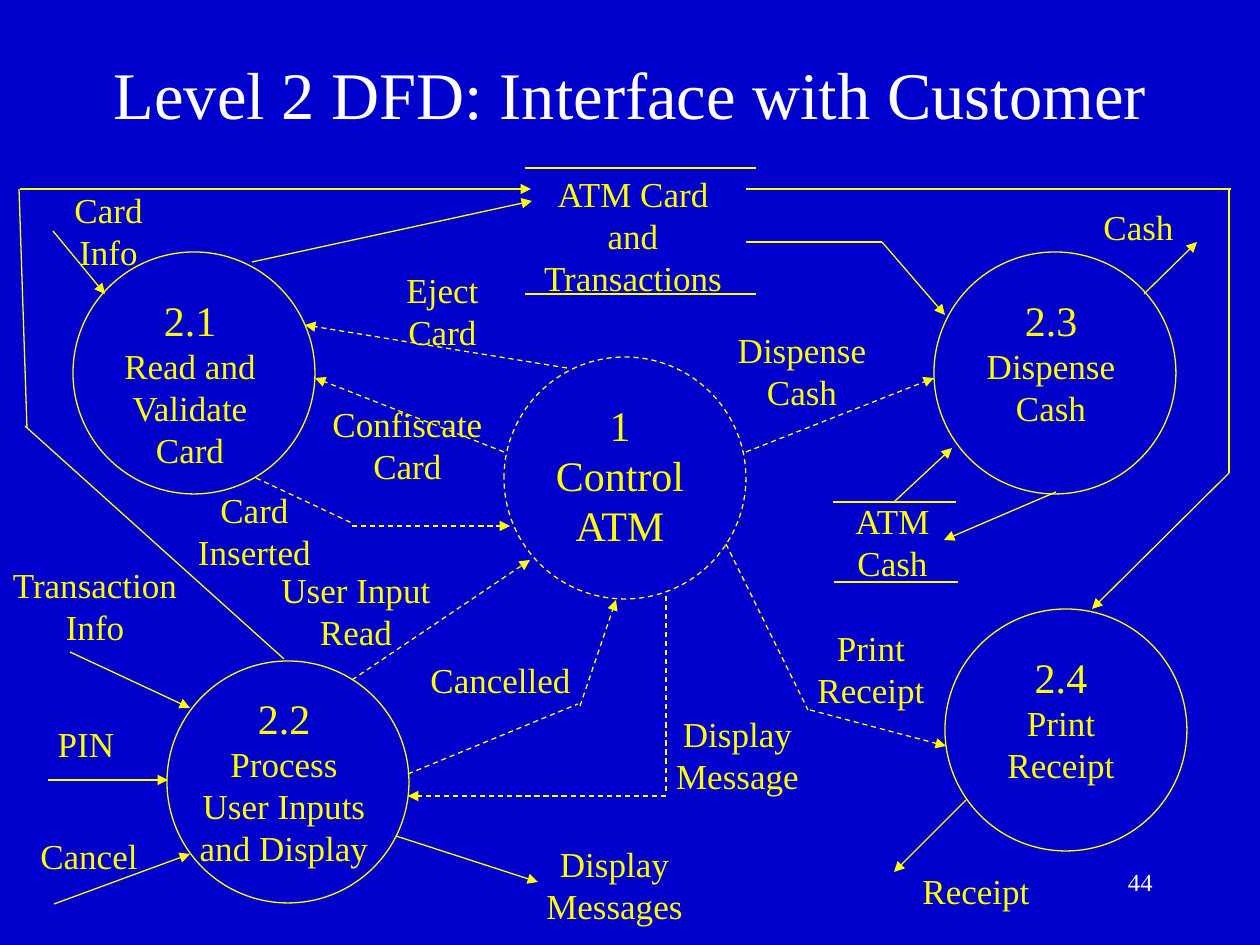
from dataclasses import dataclass

from lxml.etree import SubElement
from pptx import Presentation
from pptx.dml.color import RGBColor
from pptx.enum.dml import MSO_LINE
from pptx.enum.shapes import MSO_CONNECTOR, MSO_SHAPE
from pptx.enum.text import MSO_ANCHOR, MSO_AUTO_SIZE, PP_ALIGN
from pptx.oxml.ns import qn
from pptx.slide import Slide
from pptx.util import Emu, Pt

EMU_PER_PX = 914400 / 126
COLORS = {"background": "0000CC", "diagram": "FFFF00", "heading": "FFFFFF"}
FONT = "Times New Roman"
LINE_WIDTH = Pt(0.75)
LINE_PITCH = 1.2
CIRCLE = 242
SIDE_SLACK = 2
BODY_SIZE = 20
NUMBER_SIZE = 24


@dataclass(frozen=True)
class Label:
    left: int
    top: int
    width: int
    lines: tuple[str, ...]
    first_size: int = BODY_SIZE
    size: int = BODY_SIZE


@dataclass(frozen=True)
class Process:
    left: int
    top: int
    label: Label
    dashed: bool = False


@dataclass(frozen=True)
class Flow:
    start: tuple[int, int]
    end: tuple[int, int]
    arrow: bool = True
    dashed: bool = False


PROCESSES = (
    Process(504, 357, Label(543, 393, 154, ("1", "Control", "ATM"), NUMBER_SIZE, NUMBER_SIZE), True),
    Process(73, 252, Label(112, 288, 156, ("2.1", "Read and", "Validate", "Card"), NUMBER_SIZE)),
    Process(167, 661, Label(187, 686, 194, ("2.2", "Process", "User Inputs", "and Display"), NUMBER_SIZE)),
    Process(934, 252, Label(974, 288, 154, ("2.3", "Dispense", "Cash"), NUMBER_SIZE)),
    Process(945, 609, Label(995, 645, 132, ("2.4", "Print", "Receipt"), NUMBER_SIZE)),
)

LABELS = (
    Label(531, 166, 204, ("ATM Card", "and", "Transactions")),
    Label(841, 493, 103, ("ATM", "Cash")),
    Label(1091, 199, 95, ("Cash",)),
    Label(910, 863, 132, ("Receipt",)),
    Label(62, 182, 93, ("Card", "Info")),
    Label(0, 557, 190, ("Transaction", "Info")),
    Label(45, 716, 82, ("PIN",)),
    Label(28, 828, 122, ("Cancel",)),
    Label(534, 836, 161, ("Display", "Messages")),
    Label(186, 482, 137, ("Card", "Inserted")),
    Label(394, 262, 97, ("Eject", "Card")),
    Label(805, 620, 132, ("Print", "Receipt")),
    Label(725, 322, 154, ("Dispense", "Cash")),
    Label(269, 562, 174, ("User Input", "Read")),
    Label(418, 652, 165, ("Cancelled",)),
    Label(664, 706, 147, ("Display", "Message")),
    Label(320, 396, 175, ("Confiscate", "Card")),
)

STORE_EDGES = (
    Flow((525, 168), (756, 168), arrow=False),
    Flow((525, 294), (756, 294), arrow=False),
    Flow((833, 502), (956, 502), arrow=False),
    Flow((834, 582), (958, 582), arrow=False),
)

DATA_FLOWS = (
    Flow((53, 231), (105, 294)),
    Flow((252, 262), (532, 201)),
    Flow((746, 242), (882, 242), arrow=False),
    Flow((882, 242), (945, 315)),
    Flow((1144, 294), (1197, 242)),
    Flow((746, 189), (1231, 189), arrow=False),
    Flow((1229, 189), (1229, 473), arrow=False),
    Flow((1229, 473), (1092, 609)),
    Flow((284, 659), (25, 426), arrow=False),
    Flow((27, 428), (19, 189), arrow=False),
    Flow((20, 189), (531, 189)),
    Flow((966, 800), (894, 872)),
    Flow((70, 652), (190, 708)),
    Flow((48, 780), (168, 780)),
    Flow((54, 904), (190, 854)),
    Flow((396, 836), (538, 882)),
    Flow((894, 502), (952, 448)),
    Flow((1056, 492), (944, 540)),
)

CONTROL_FLOWS = (
    Flow((567, 368), (305, 325), dashed=True),
    Flow((504, 452), (315, 378), dashed=True),
    Flow((746, 452), (934, 378), dashed=True),
    Flow((726, 544), (808, 710), arrow=False, dashed=True),
    Flow((810, 710), (946, 746), dashed=True),
    Flow((352, 680), (530, 560), dashed=True),
    Flow((408, 774), (578, 704), arrow=False, dashed=True),
    Flow((580, 706), (616, 600), dashed=True),
    Flow((666, 596), (666, 794), arrow=False, dashed=True),
    Flow((666, 796), (408, 796), dashed=True),
    Flow((256, 478), (354, 524), arrow=False, dashed=True),
    Flow((352, 526), (510, 526), dashed=True),
)


def px(length: int) -> Emu:
    return Emu(round(length * EMU_PER_PX))


def color(role: str) -> RGBColor:
    return RGBColor.from_string(COLORS[role])


def style_line(line, dashed: bool) -> None:
    line.color.rgb = color("diagram")
    line.width = LINE_WIDTH
    if dashed:
        line.dash_style = MSO_LINE.DASH


def draw_text(slide: Slide, label: Label, height: int, role: str = "heading",
              align: PP_ALIGN = PP_ALIGN.CENTER, anchor: MSO_ANCHOR = MSO_ANCHOR.TOP,
              fitted: bool = False) -> None:
    slack = SIDE_SLACK if fitted else 0
    box = slide.shapes.add_textbox(
        px(label.left - slack), px(label.top), px(label.width + 2 * slack), px(height))
    frame = box.text_frame
    frame.word_wrap = not fitted
    frame.auto_size = MSO_AUTO_SIZE.SHAPE_TO_FIT_TEXT if fitted else MSO_AUTO_SIZE.NONE
    frame.vertical_anchor = anchor
    frame.text = "\n".join(label.lines)
    for index, paragraph in enumerate(frame.paragraphs):
        size = label.size if index else label.first_size
        paragraph.alignment = align
        paragraph.line_spacing = Pt(size * LINE_PITCH)
        paragraph.font.name = FONT
        paragraph.font.size = Pt(size)
        paragraph.font.color.rgb = color(role)


def draw_label(slide: Slide, label: Label) -> None:
    points = LINE_PITCH * (label.first_size + label.size * (len(label.lines) - 1))
    draw_text(slide, label, round((points / 72 + 0.1) * 126), "diagram", fitted=True)


def draw_process(slide: Slide, process: Process) -> None:
    circle = slide.shapes.add_shape(
        MSO_SHAPE.OVAL, px(process.left), px(process.top), px(CIRCLE), px(CIRCLE))
    circle.shadow.inherit = False
    circle.fill.background()
    style_line(circle.line, process.dashed)
    draw_label(slide, process.label)


def draw_flow(slide: Slide, flow: Flow) -> None:
    connector = slide.shapes.add_connector(
        MSO_CONNECTOR.STRAIGHT, *map(px, flow.start + flow.end))
    style_line(connector.line, flow.dashed)
    properties = connector._element.spPr
    if flow.arrow:
        SubElement(properties.find(qn("a:ln")), qn("a:tailEnd"), type="triangle")
    SubElement(properties, qn("a:effectLst"))


def main() -> None:
    presentation = Presentation()
    presentation.slide_width = px(1260)
    presentation.slide_height = px(945)
    slide = presentation.slides.add_slide(presentation.slide_layouts[6])
    slide.background.fill.solid()
    slide.background.fill.fore_color.rgb = color("background")

    heading = Label(95, 14, 1071, ("Level 2 DFD: Interface with Customer",), 38)
    draw_text(slide, heading, 158, anchor=MSO_ANCHOR.MIDDLE)
    for process in PROCESSES:
        draw_process(slide, process)
    for flow in STORE_EDGES + DATA_FLOWS + CONTROL_FLOWS:
        draw_flow(slide, flow)
    for label in LABELS:
        draw_label(slide, label)
    page_number = Label(903, 861, 262, ("44",), 14)
    draw_text(slide, page_number, 63, align=PP_ALIGN.RIGHT)
    presentation.save("out.pptx")


if __name__ == "__main__":
    main()
